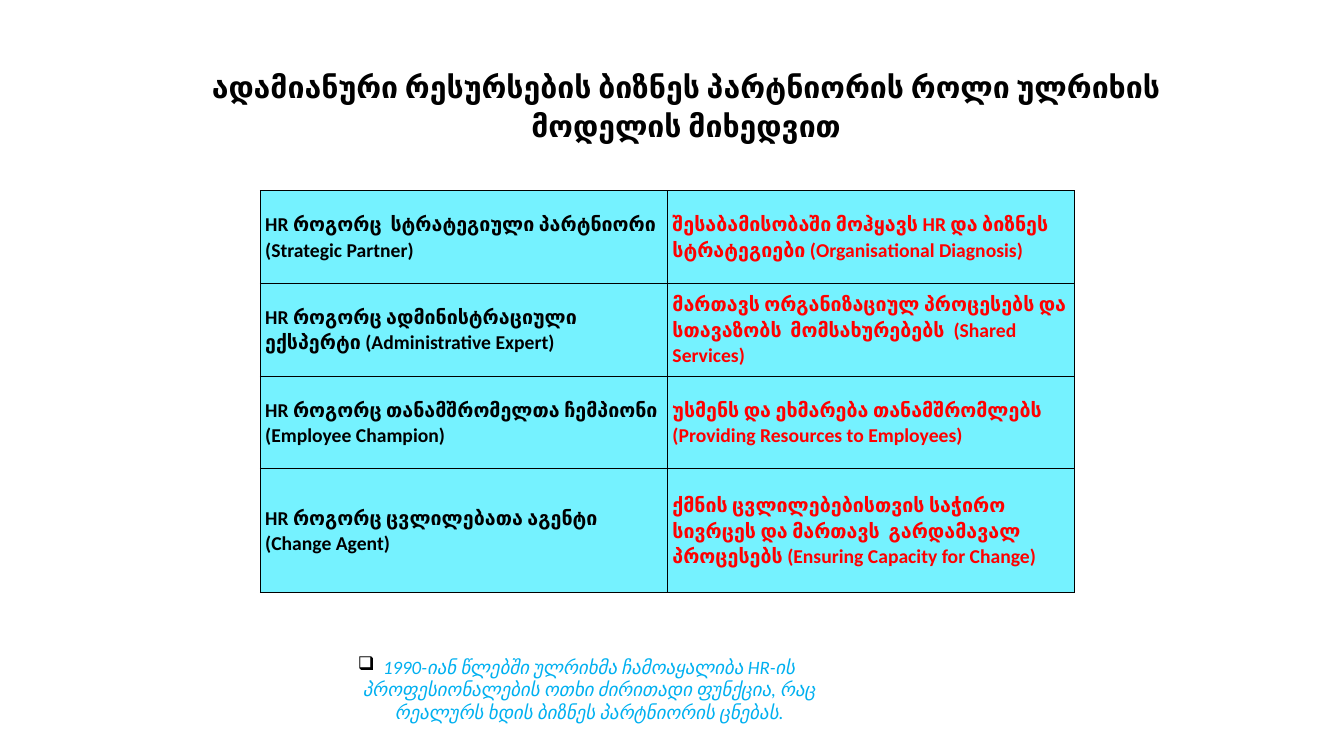
from lxml import etree
from pptx import Presentation
from pptx.dml.color import RGBColor
from pptx.enum.text import MSO_ANCHOR, MSO_AUTO_SIZE, PP_ALIGN
from pptx.oxml.ns import qn
from pptx.util import Inches, Pt

CENTER, LEFT = PP_ALIGN.CENTER, PP_ALIGN.LEFT
TOP, MIDDLE = MSO_ANCHOR.TOP, MSO_ANCHOR.MIDDLE
NO_FIT = MSO_AUTO_SIZE.NONE

TITLE = "ადამიანური რესურსების ბიზნეს პარტნიორის როლი ულრიხის მოდელის მიხედვით"
NOTE = ("1990-იან წლებში ულრიხმა ჩამოაყალიბა HR-ის პროფესიონალების ოთხი "
        "ძირითადი ფუნქცია, რაც რეალურს ხდის ბიზნეს პარტნიორის ცნებას.")
ROLES = [
    ("HR როგორც  სტრატეგიული პარტნიორი (Strategic Partner)",
     "შესაბამისობაში მოჰყავს HR და ბიზნეს სტრატეგიები (Organisational Diagnosis)"),
    ("HR როგორც ადმინისტრაციული ექსპერტი (Administrative Expert)",
     "მართავს ორგანიზაციულ პროცესებს და სთავაზობს  მომსახურებებს  (Shared Services)"),
    ("HR როგორც თანამშრომელთა ჩემპიონი (Employee Champion)",
     "უსმენს და ეხმარება თანამშრომლებს (Providing Resources to Employees)"),
    ("HR როგორც ცვლილებათა აგენტი (Change Agent)",
     "ქმნის ცვლილებებისთვის საჭირო სივრცეს და მართავს  გარდამავალ პროცესებს "
     "(Ensuring Capacity for Change)"),
]


def rgb(value):
    return RGBColor.from_string(value)


class Deck:
    font = "Calibri"
    black, red, blue, cyan = "000000", "FF0000", "00B0F0", "75F2FF"

    def __init__(self, width, height):
        self.prs = Presentation()
        self.prs.slide_width, self.prs.slide_height = Inches(width), Inches(height)
        self.s = self.prs.slides.add_slide(self.prs.slide_layouts[5])

    def text(self, tf, text, size, color, align=LEFT, spacing=1.0, bold=False, italic=False):
        tf.word_wrap = True
        p = tf.paragraphs[0]
        p.text = text
        p.alignment, p.line_spacing = align, spacing
        p.space_before = Pt(0)
        f = p.font
        f.name, f.size, f.bold, f.italic = self.font, Pt(size), bold, italic
        f.color.rgb = rgb(color)
        return p

    def frame(self, sp):
        tf = sp.text_frame
        tf.margin_left = tf.margin_right = Inches(0.07)
        tf.margin_top = tf.margin_bottom = Inches(0.03)
        tf.vertical_anchor = TOP
        tf.auto_size = NO_FIT
        return tf

    def title(self, x, y, w, h, text):
        sp = self.s.shapes.title
        sp.left, sp.top, sp.width, sp.height = map(Inches, (x, y, w, h))
        self.text(self.frame(sp), text, 21.6, self.black, CENTER, 1.07, bold=True)

    def note(self, x, y, w, h, text):
        sp = self.s.shapes.add_textbox(*map(Inches, (x, y, w, h)))
        p = self.text(self.frame(sp), text, 13.5, self.blue, CENTER, italic=True)
        pPr = p._p.get_or_add_pPr()
        pPr.set("marL", str(Inches(0.25)))
        pPr.set("indent", str(-Inches(0.25)))
        color = etree.Element(qn("a:buClr"))
        etree.SubElement(color, qn("a:srgbClr"), val=self.black)
        bullet = etree.Element(qn("a:buChar"), char="❑")
        at = pPr.index(pPr.find(qn("a:defRPr")))
        pPr[at:at] = [color, bullet]

    def borders(self, cell):
        tcPr = cell._tc.get_or_add_tcPr()
        for i, side in enumerate(("lnL", "lnR", "lnT", "lnB")):
            ln = etree.Element(qn("a:" + side), w=str(Pt(0.5)))
            fill = etree.SubElement(ln, qn("a:solidFill"))
            etree.SubElement(fill, qn("a:srgbClr"), val=self.black)
            tcPr.insert(i, ln)

    def table(self, x, y, widths, heights, rows):
        box = map(Inches, (x, y, sum(widths), sum(heights)))
        table = self.s.shapes.add_table(len(rows), len(widths), *box).table
        table.first_row = table.horz_banding = False
        for column, width in zip(table.columns, widths):
            column.width = Inches(width)
        for r, (row, height) in enumerate(zip(rows, heights)):
            table.rows[r].height = Inches(height)
            for c, (text, color) in enumerate(zip(row, (self.black, self.red))):
                cell = table.cell(r, c)
                cell.fill.solid()
                cell.fill.fore_color.rgb = rgb(self.cyan)
                cell.margin_left = cell.margin_right = Inches(0.05)
                cell.margin_top = cell.margin_bottom = 0
                cell.vertical_anchor = MIDDLE
                self.text(cell.text_frame, text, 14, color, spacing=1.07, bold=True)
                self.borders(cell)


def main():
    deck = Deck(13.33, 7.5)
    deck.title(1.8, 0.62, 10.01, 0.85, TITLE)
    deck.note(3.07, 6.47, 5.3, 0.75, NOTE)
    deck.table(2.58, 1.89, [4.04] * 2, [0.92] * 3 + [1.23], ROLES)
    deck.prs.save("out.pptx")


if __name__ == "__main__":
    main()
